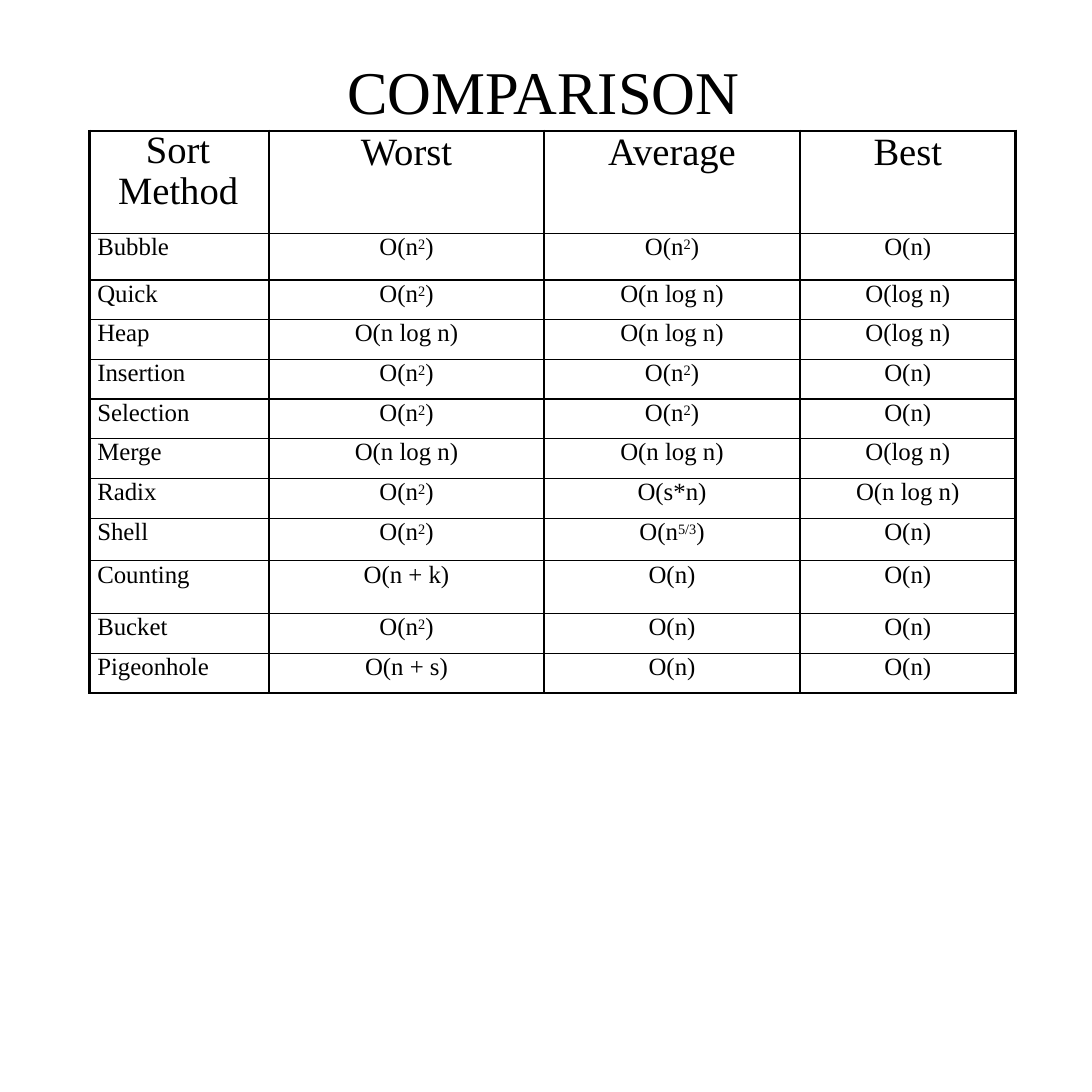
"""Build a slide comparing sort methods by worst, average and best running time."""
from lxml import etree
from pptx import Presentation
from pptx.dml.color import RGBColor
from pptx.enum.text import MSO_ANCHOR, MSO_AUTO_SIZE, PP_ALIGN
from pptx.oxml.ns import qn
from pptx.util import Inches, Pt

LEFT, CENTER = PP_ALIGN.LEFT, PP_ALIGN.CENTER
TOP = MSO_ANCHOR.TOP
NO_FIT = MSO_AUTO_SIZE.NONE
BLACK = RGBColor(0, 0, 0)
FONT = "Times New Roman"
OUTER, INNER = Pt(2.25), Pt(1)

SQUARE, LINEARITHMIC = "O(n^2^)", "O(n log n)"
LINEAR, LOGARITHMIC = "O(n)", "O(log n)"
COMPARISON = [
    ("Sort Method", "Worst", "Average", "Best"),
    ("Bubble", SQUARE, SQUARE, LINEAR),
    ("Quick", SQUARE, LINEARITHMIC, LOGARITHMIC),
    ("Heap", LINEARITHMIC, LINEARITHMIC, LOGARITHMIC),
    ("Insertion", SQUARE, SQUARE, LINEAR),
    ("Selection", SQUARE, SQUARE, LINEAR),
    ("Merge", LINEARITHMIC, LINEARITHMIC, LOGARITHMIC),
    ("Radix", SQUARE, "O(s*n)", LINEARITHMIC),
    ("Shell", SQUARE, "O(n^5/3^)", LINEAR),
    ("Counting", "O(n + k)", LINEAR, LINEAR),
    ("Bucket", SQUARE, LINEAR, LINEAR),
    ("Pigeonhole", "O(n + s)", LINEAR, LINEAR),
]
COLUMN_WIDTHS = [1.81, 2.77, 2.58, 2.17]
ROW_HEIGHTS = [1.03, 0.47] + [0.4] * 6 + [0.43, 0.53, 0.4, 0.4]


def write(frame, text, size, align=LEFT, indent=0, first_line=0, spacing=None):
    """Write one paragraph, raising whatever stands between carets."""
    paragraph = frame.paragraphs[0]
    paragraph.alignment = align
    paragraph.line_spacing = spacing
    properties = paragraph._p.get_or_add_pPr()
    properties.set("marL", str(Inches(indent)))
    properties.set("indent", str(Inches(first_line)))
    for position, part in enumerate(text.split("^")):
        run = paragraph.add_run()
        run.text = part
        run.font.size = Pt(size)
        run.font.name = FONT
        run.font.bold = False
        run.font.color.rgb = BLACK
        if position % 2:
            run.font._element.set("baseline", "23000")


def draw_borders(cell, widths):
    """Draw the left, right, top and bottom borders of a cell."""
    properties = cell._tc.get_or_add_tcPr()
    for side, width in zip("LRTB", widths):
        line = etree.SubElement(properties, qn(f"a:ln{side}"), w=str(width))
        fill = etree.SubElement(line, qn("a:solidFill"))
        etree.SubElement(fill, qn("a:srgbClr"), val=str(BLACK))


deck = Presentation()
deck.slide_width = deck.slide_height = Inches(11)
slide = deck.slides.add_slide(deck.slide_layouts[5])

title = slide.shapes.title
title.left, title.top = Inches(0.59), Inches(0.44)
title.width, title.height = Inches(9.83), Inches(2.42)
heading = title.text_frame
heading.auto_size = NO_FIT
heading.vertical_anchor = TOP
heading.margin_left = heading.margin_right = heading.margin_bottom = 0
heading.margin_top = Inches(0.1)
write(heading, "COMPARISON", size=44, indent=2.91)

table = slide.shapes.add_table(
    len(COMPARISON), len(COLUMN_WIDTHS), Inches(0.9), Inches(1.32),
    Inches(sum(COLUMN_WIDTHS)), Inches(sum(ROW_HEIGHTS))).table
table.first_row = table.horz_banding = False
for column, width in zip(table.columns, COLUMN_WIDTHS):
    column.width = Inches(width)
for row, height in zip(table.rows, ROW_HEIGHTS):
    row.height = Inches(height)

last_row, last_column = len(COMPARISON) - 1, len(COLUMN_WIDTHS) - 1
for r, entries in enumerate(COMPARISON):
    for c, entry in enumerate(entries):
        cell = table.cell(r, c)
        cell.margin_left = cell.margin_right = 0
        cell.margin_top = cell.margin_bottom = 0
        cell.vertical_anchor = TOP
        at_edge = (c == 0, c == last_column, r == 0, r == last_row)
        draw_borders(cell, [OUTER if edge else INNER for edge in at_edge])
        cell.fill.background()
        size = 18 if r else 28
        if c:
            write(cell.text_frame, entry, size, align=CENTER)
        elif r:
            write(cell.text_frame, entry, size, indent=0.08)
        else:
            write(cell.text_frame, entry, size, indent=0.29, first_line=0.28,
                  spacing=0.95)

deck.save("out.pptx")
